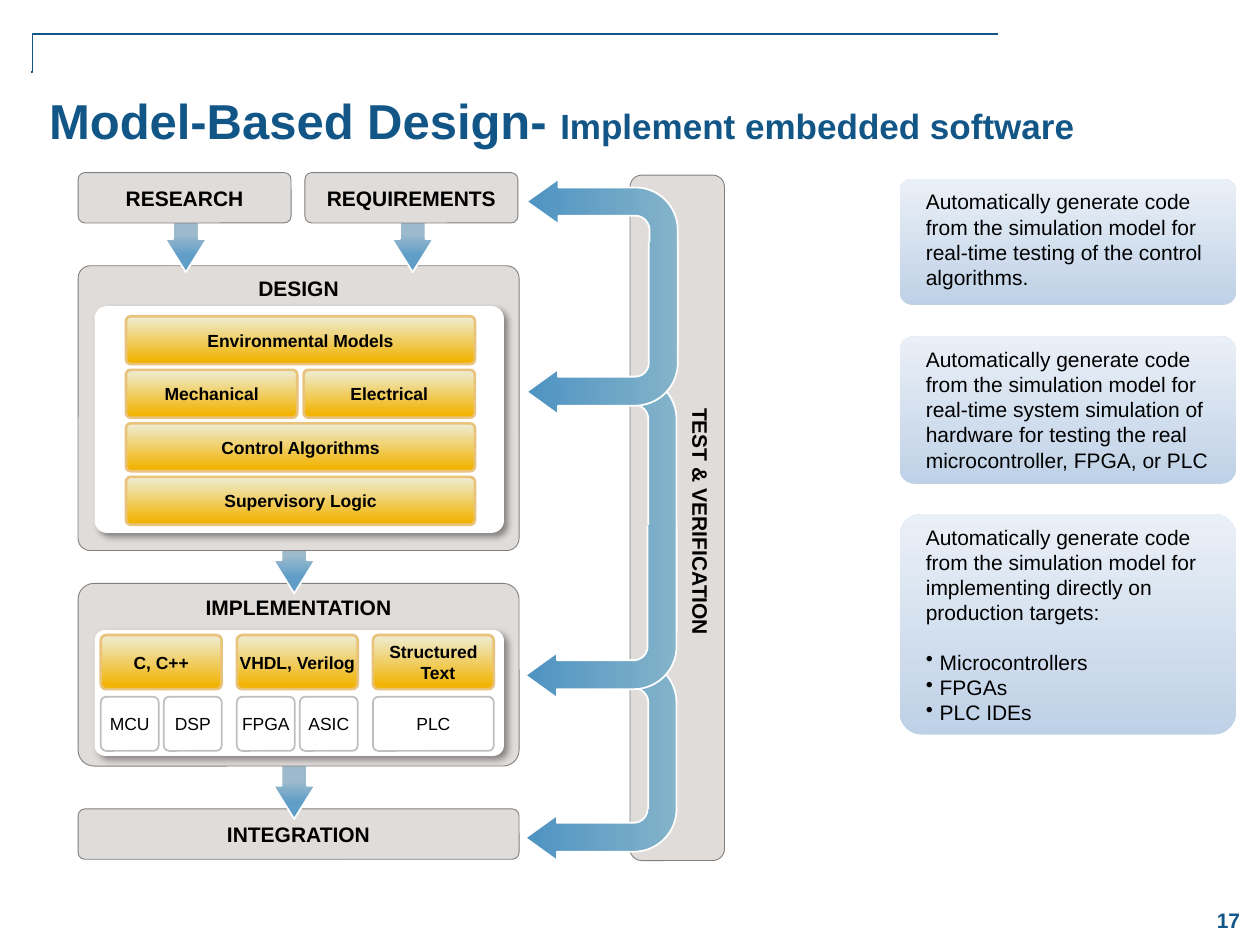
from math import cos, sin, pi
from lxml import etree
from pptx import Presentation
from pptx.dml.color import RGBColor
from pptx.enum.shapes import MSO_CONNECTOR as Link, MSO_SHAPE as Kind
from pptx.enum.text import MSO_ANCHOR as Anchor, PP_ALIGN as Align
from pptx.oxml.ns import qn
from pptx.util import Inches, Pt

# Content
TITLE = [("Model-Based Design- ", 28), ("Implement embedded software", 20)]
PAGE = "17"
DESIGN = [["Environmental Models"], ["Mechanical", "Electrical"],
          ["Control Algorithms"], ["Supervisory Logic"]]
CODE = [("C, C++", ["MCU", "DSP"]), ("VHDL, Verilog", ["FPGA", "ASIC"]),
        ("Structured Text", ["PLC"])]
LEAD = "Automatically generate code from the simulation model for "
CARDS = [  # top, height, text, bullets
    (1.42, 1, LEAD + "real-time testing of the control algorithms.", []),
    (2.67, 1.17, LEAD + "real-time system simulation of hardware for testing "
     "the real microcontroller, FPGA, or PLC", []),
    (4.08, 1.75, LEAD + "implementing directly on production targets:",
     ["Microcontrollers", "FPGAs", "PLC IDEs"])]
LOOPS = [  # left, top, height of upper arrow, top of lower arrow, bend centre
    (4.17, 5.17, 1.27, 6.42, 6.42),
    (4.17, 2.92, 2.08, 4.17, 5.13),
    (4.18, 1.42, 1.33, 1.92, 2.88)]

# Style: fill, line colour, line width; a gradient is (angle, stop, stop)
NAVY = "125687"
GREY = ("E0DCDA", "808080", 0.5)
GOLD = ((90, (7, "F2B404"), (95, "EEEACA")), "E9C27B", 1.5)
CHIP = ("FFFFFF", "BFBFBF", 1)
FLOW = ((0, (60, "9CBACC"), (82, "609EC8")), "FFFFFF", 1)
CARD = ((90, (0, "BFD1E7"), (100, "EAF0F7")), None, 0)
PLAIN = ("FFFFFF", None, 0)
BLUE = (0, "4E93C2"), (100, "84B3CA")
X, W = 0.62, 3.5  # main column

deck = Presentation()
deck.slide_width, deck.slide_height = Inches(10), Inches(7.5)
slide = deck.slides.add_slide(deck.slide_layouts[5])
shapes = slide.shapes


def hue(code):
    return RGBColor.from_string(code)


def paint(item, style):
    fill, line, width = style
    item.shadow.inherit = False
    if isinstance(fill, str):
        item.fill.solid()
        item.fill.fore_color.rgb = hue(fill)
    else:
        item.fill.gradient()
        item.fill.gradient_angle = fill[0]
        for stop, (spot, code) in zip(item.fill.gradient_stops, fill[1:]):
            stop.position = spot / 100
            stop.color.rgb = hue(code)
    if line:
        item.line.color.rgb = hue(line)
        item.line.width = Pt(width)
    else:
        item.line.fill.background()
    return item


def shape(kind, box, style, adj):
    item = shapes.add_shape(kind, *map(Inches, box))
    for i, value in enumerate(adj):
        item.adjustments[i] = value
    return paint(item, style)


def block(box, style, adj):
    return shape(Kind.ROUNDED_RECTANGLE, box, style, [adj])


def text(item, *paras, size=12, bold=False, color="000000", align=Align.LEFT,
         anchor=Anchor.TOP, inset=(0.1, 0.05), hang=0, wrap=True):
    """Each paragraph is a string or a list of (words, size) runs."""
    frame = item.text_frame
    frame.word_wrap, frame.vertical_anchor = wrap, anchor
    frame.margin_left = frame.margin_right = Inches(inset[0])
    frame.margin_top = frame.margin_bottom = Inches(inset[1])
    for i, para in enumerate(paras):
        p = frame.add_paragraph() if i else frame.paragraphs[0]
        p.alignment = align
        if hang:
            p._p.get_or_add_pPr().set("marL", str(Inches(hang)))
            p._p.get_or_add_pPr().set("indent", str(-Inches(hang)))
        for words, pts in [(para, size)] if isinstance(para, str) else para:
            run = p.add_run()
            run.text = words
            font = run.font
            font.name, font.size, font.bold = "Arial", Pt(pts), bold
            font.color.rgb = hue(color)
    return frame


def head(box, words, adj, anchor=Anchor.MIDDLE):
    text(block(box, GREY, adj), words, bold=True, align=Align.CENTER,
         anchor=anchor)


def cell(box, words, style):
    gold = style is GOLD
    text(block(box, style, 0.1), words, size=10, bold=gold,
         align=Align.CENTER, anchor=Anchor.MIDDLE,
         inset=(0.01, 0.01) if gold else (0, 0), hang=0.07 if gold else 0)


def row(words, x, y, w, h, gap, style):
    step = (w + gap) / len(words)
    for i, word in enumerate(words):
        cell((x + i * step, y, step - gap, h), word, style)


def panel(box, adj):
    item = block(box, PLAIN, adj)
    shade = etree.SubElement(
        item._element.spPr.find(qn("a:effectLst")), qn("a:outerShdw"),
        blurRad=str(Pt(4)), dist=str(Pt(3)), dir="2700000", algn="tl")
    color = etree.SubElement(shade, qn("a:srgbClr"), val="000000")
    etree.SubElement(color, qn("a:alpha"), val="40000")


def down(mid, y):
    item = shape(Kind.LEFT_RIGHT_ARROW, (mid - 0.375, y, 0.75, 0.33), FLOW,
                 [0.614, 0.798])
    item.rotation = 90


def arc(x, y, r, start, end, steps=16):
    turns = [start + (end - start) * i / steps for i in range(steps + 1)]
    return [(x + r * cos(a), y + r * sin(a)) for a in turns]


def loop(left, top, height, low, bend):
    # Upper arrow, mirrored so that it points left
    item = shape(Kind.BENT_ARROW, (left, top, 1.2, height),
                 ((180, *BLUE), "FFFFFF", 1), [0.187, 0.15, 0.211, 0.281])
    item._element.spPr.xfrm.set("flipH", "1")
    # Lower arrow, open at the top where the two meet
    x, neck, mid = left + 0.86, left + 0.25, bend + 0.23
    points = [(x + 0.34, low), *arc(x, bend, 0.34, 0, pi / 2),
              (neck, bend + 0.34), (neck, mid + 0.18), (left, mid),
              (neck, mid - 0.18), (neck, bend + 0.11),
              *arc(x, bend, 0.11, pi / 2, 0), (x + 0.11, low)]
    points = [(Inches(a), Inches(b)) for a, b in points]
    path = shapes.build_freeform(*points[0])
    path.add_line_segments(points[1:], close=False)
    paint(path.convert_to_shape(), ((0, *BLUE), "FFFFFF", 1))


def note(box, *paras, **look):
    return text(shapes.add_textbox(*map(Inches, box)), *paras, **look)


# Title, corner rule and page number
title = shapes.title
title.left, title.top, title.width, title.height = map(
    Inches, (0.29, 0.67, 9.71, 0.66))
text(title, TITLE, bold=True, color=NAVY)
rule = shapes.add_connector(Link.ELBOW, *map(Inches, (7.92, 0.27, 0.25, 0.57)))
rule.line.color.rgb, rule.line.width = hue(NAVY), Pt(1)
props = rule._element.spPr
etree.SubElement(props, qn("a:effectLst"))
guides = props.find(qn("a:prstGeom")).get_or_add_avLst()
etree.SubElement(guides, qn("a:gd"), name="adj1", fmla="val 99900")
note((9.5, 7.09, 0.5, 0.42), PAGE, bold=True, color=NAVY, align=Align.CENTER,
     anchor=Anchor.MIDDLE)

# Stages from the bottom up, so each box hides the tail of its arrow
head((X, 6.42, W, 0.4), "INTEGRATION", 0.135)
down(2.335, 5.96)
head((X, 4.63, W, 1.45), "IMPLEMENTATION", 0.087, Anchor.TOP)
panel((0.75, 5, 3.25, 1), 0.086)
down(2.335, 4.17)
head((X, 2.11, W, 2.26), "DESIGN", 0.043, Anchor.TOP)
panel((0.75, 2.43, 3.25, 1.8), 0.055)
for x, word in (X, "RESEARCH"), (2.42, "REQUIREMENTS"):
    down(x + 0.855, 1.62)
    head((x, 1.37, 1.69, 0.4), word, 0.135)

# Cells of the two panels
for i, words in enumerate(DESIGN):
    row(words, 1, 2.51 + i * 0.425, 2.77, 0.38, 0.05, GOLD)
for i, (code, chips) in enumerate(CODE):
    x = 0.8 + i * 1.08
    cell((x, 5.04, 0.96, 0.43), code, GOLD)
    row(chips, x, 5.53, 0.96, 0.43, 0.04, CHIP)

# Cards on the right
for top, height, words, bullets in CARDS:
    block((7.14, top, 2.67, height), CARD, 0.1)
    frame = note((7.25, top + 0.03, 2.5, height - 0.06), words, *bullets)
    for p in frame.paragraphs[1:]:
        form = p._p.get_or_add_pPr()
        form.set("marL", str(Inches(0.11)))
        form.set("indent", str(-Inches(0.11)))
        etree.SubElement(form, qn("a:buChar"), char="•")
    if bullets:
        frame.paragraphs[1].space_before = Pt(14)

# Test bar with its feedback loops
block((5, 1.39, 0.75, 5.44), GREY, 0.124)
for spot in LOOPS:
    loop(*spot)
label = shapes.add_textbox(*map(Inches, (4.55, 4, 2.02, 0.3)))
label.rotation = 90
text(label, "TEST & VERIFICATION", bold=True, wrap=False)

deck.save("out.pptx")
